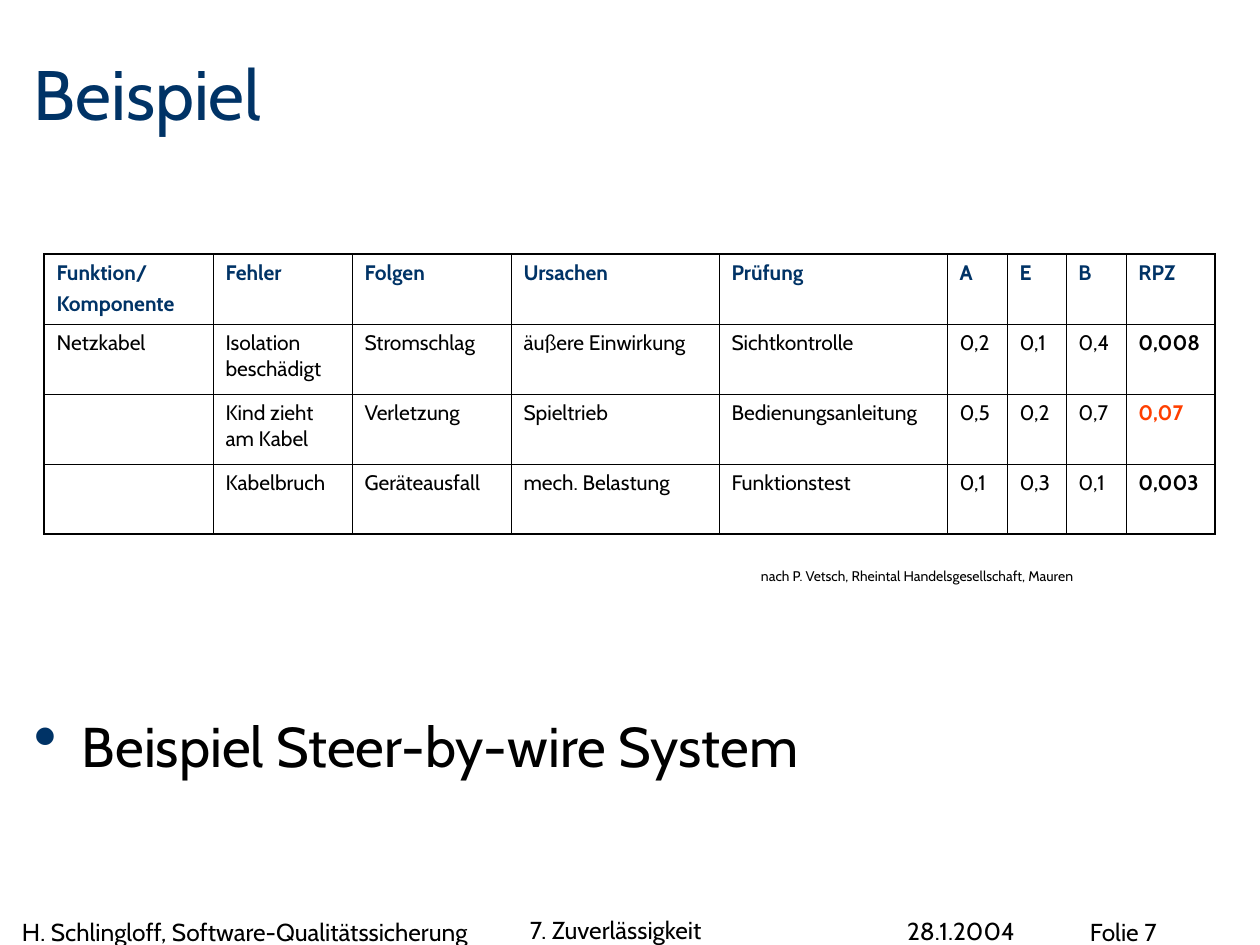
import pptx
import pptx.util
import pptx.dml.color
import pptx.enum.text
import pptx.oxml
import pptx.oxml.ns

PX = 914400 / 126
FACE = "Cabin"
BLACK = pptx.dml.color.RGBColor(0x00, 0x00, 0x00)
NAVY = pptx.dml.color.RGBColor(0x00, 0x33, 0x66)
RED = pptx.dml.color.RGBColor(0xFF, 0x3F, 0x00)
TOP = pptx.enum.text.MSO_ANCHOR.TOP
BASE = pptx.enum.text.MSO_ANCHOR.BOTTOM
NS = pptx.oxml.ns.nsdecls("a")
THIN, THICK = 0.45, 1.08

COLS = [169, 139, 159, 208, 228, 60, 59, 60, 89]
ROW = 70
ROWS = [
    ["Funktion/\nKomponente", "Fehler", "Folgen", "Ursachen", "Prüfung",
     "A", "E", "B", "RPZ"],
    ["Netzkabel", "Isolation beschädigt", "Stromschlag", "äußere Einwirkung",
     "Sichtkontrolle", "0,2", "0,1", "0,4", "0,008"],
    ["", "Kind zieht am Kabel", "Verletzung", "Spieltrieb",
     "Bedienungsanleitung", "0,5", "0,2", "0,7", "0,07"],
    ["", "Kabelbruch", "Geräteausfall", "mech. Belastung",
     "Funktionstest", "0,1", "0,3", "0,1", "0,003"],
]
ALERT = "0,07"


def px(n):
    return pptx.util.Emu(round(n * PX))


def write(para, text, size, color=BLACK, bold=False):
    run = para.add_run()
    run.text = text
    look = {"name": FACE, "size": pptx.util.Pt(size), "bold": bold}
    for key, value in look.items():
        setattr(run.font, key, value)
    run.font.color.rgb = color


def label(slide, area, text, size, color=BLACK, anchor=TOP, pad=(0, 0),
          wrap=True):
    """Add a one-paragraph text box and return its paragraph."""
    frame = slide.shapes.add_textbox(*map(px, area)).text_frame
    side, edge = map(px, pad)
    look = {"word_wrap": wrap, "vertical_anchor": anchor,
            "margin_left": side, "margin_right": side,
            "margin_top": edge, "margin_bottom": edge}
    for key, value in look.items():
        setattr(frame, key, value)
    para = frame.paragraphs[0]
    write(para, text, size, color)
    return para


def bullet(para, indent, color):
    props = para._p.get_or_add_pPr()
    props.set("marL", str(px(indent)))
    props.set("indent", str(-px(indent)))
    for xml in (f'<a:buClr {NS}><a:srgbClr val="{color}"/></a:buClr>',
                f'<a:buSzPct {NS} val="120000"/>',
                f'<a:buChar {NS} char="•"/>'):
        props.append(pptx.oxml.parse_xml(xml))


def border(cell, widths):
    """Set the line widths of a cell, given by side in points."""
    props = cell._tc.get_or_add_tcPr()
    for side, width in widths.items():
        props.append(pptx.oxml.parse_xml(
            f'<a:ln{side} {NS} w="{pptx.util.Pt(width)}"><a:solidFill>'
            f'<a:srgbClr val="{BLACK}"/></a:solidFill></a:ln{side}>'))


def fill(cell, text, color, bold):
    for i, line in enumerate(text.split("\n")):
        frame = cell.text_frame
        para = frame.add_paragraph() if i else frame.paragraphs[0]
        if i:
            para.space_before = pptx.util.Pt(3)
        if line:
            write(para, line, 12, color, bold)
        else:
            para.font.size = pptx.util.Pt(12)


def grid(slide, left, top):
    table = slide.shapes.add_table(
        len(ROWS), len(COLS), px(left), px(top),
        px(sum(COLS)), px(ROW * len(ROWS))).table
    table.first_row = table.horz_banding = False
    for col, width in zip(table.columns, COLS):
        col.width = px(width)
    end, foot = len(COLS) - 1, len(ROWS) - 1
    for r, texts in enumerate(ROWS):
        table.rows[r].height = px(ROW)
        for c, text in enumerate(texts):
            cell = table.cell(r, c)
            outer = {"L": c == 0, "R": c == end, "T": r == 0, "B": r == foot}
            border(cell, {side: THICK if out else THIN
                          for side, out in outer.items()})
            cell.fill.background()
            color = NAVY if r == 0 else RED if text == ALERT else BLACK
            fill(cell, text, color, r == 0 or c == end)


def main():
    deck = pptx.Presentation()
    deck.slide_width, deck.slide_height = px(1260), px(945)
    slide = deck.slides.add_slide(deck.slide_layouts[6])

    label(slide, (1090, 917, 181, 34), "Folie 7", 14, wrap=False)
    label(slide, (22, 917, 495, 29),
          "H. Schlingloff, Software-Qualitätssicherung", 14, wrap=False)
    label(slide, (34, 45, 1198, 90), "Beispiel", 40, NAVY, BASE)
    item = label(slide, (34, 711, 1200, 110),
                 "Beispiel Steer-by-wire System", 32)
    bullet(item, 48, NAVY)
    grid(slide, 44, 254)
    label(slide, (748, 562, 466, 30),
          "nach P. Vetsch, Rheintal Handelsgesellschaft, Mauren", 8,
          pad=(13, 6))
    label(slide, (530, 908, 367, 36), "7. Zuverlässigkeit", 14, anchor=BASE)
    label(slide, (907, 918, 198, 27), "28.1.2004", 14, anchor=BASE)

    deck.save("out.pptx")


if __name__ == "__main__":
    main()
